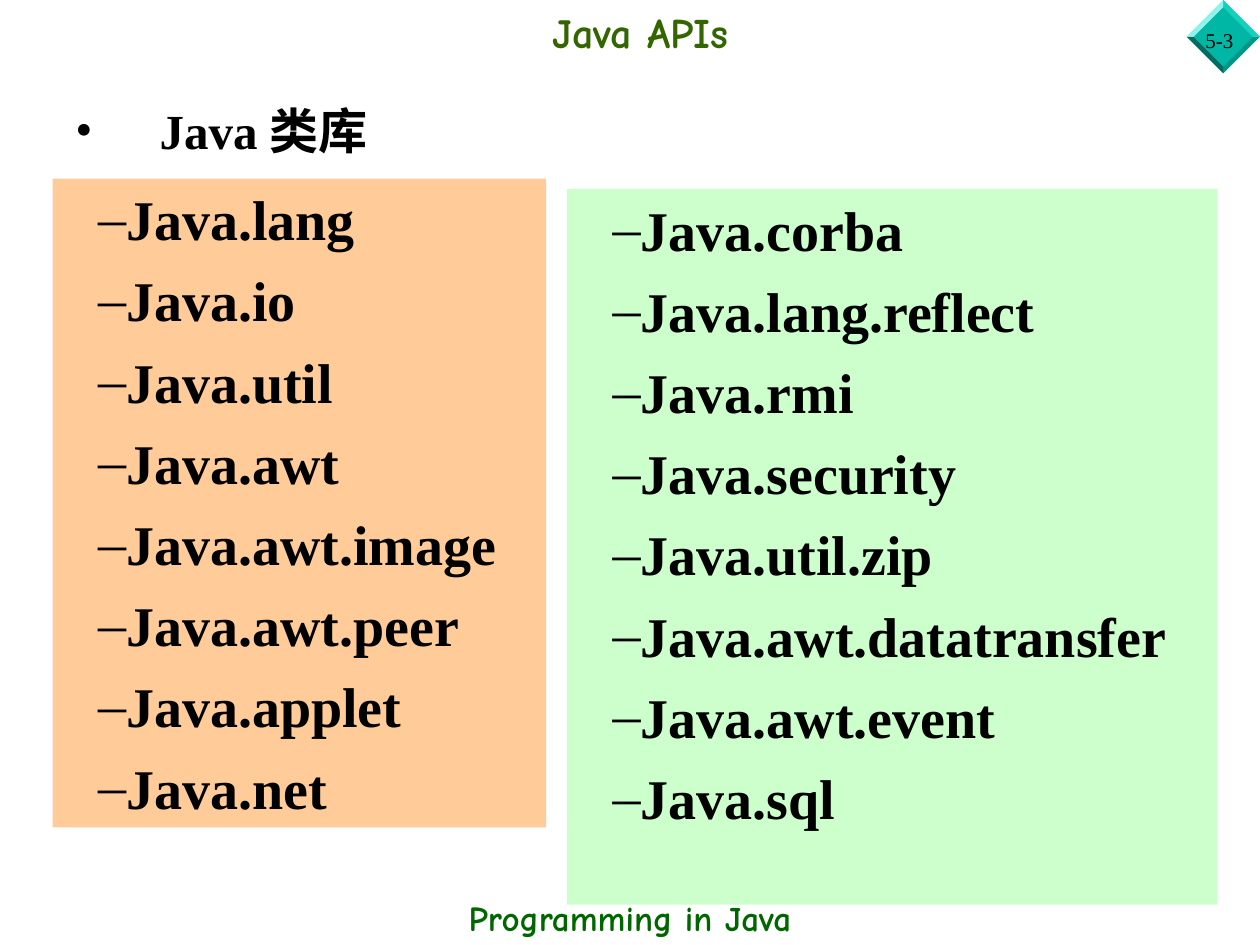
from dataclasses import dataclass

from lxml import etree
from pptx import Presentation
from pptx.dml.color import RGBColor
from pptx.enum import shapes, text
from pptx.oxml import ns
from pptx.util import Cm, Pt


@dataclass(frozen=True)
class Theme:
    serif: str = "Times New Roman"
    hand: str = "Comic Neue"
    black: str = "000000"
    title: str = "336600"
    footer: str = "006600"
    orange: str = "FFCC99"
    green: str = "CCFFCC"
    badge_face: str = "00B7A5"
    badge_edges: tuple = ("14D1BE", "009688", "006B61", "8CF4EA")
    number_size: int = 12
    footer_size: int = 20
    title_size: int = 24
    heading_size: int = 28
    list_size: int = 32


THEME = Theme()
LEFT_PACKAGES = ("Java.lang", "Java.io", "Java.util", "Java.awt",
                 "Java.awt.image", "Java.awt.peer", "Java.applet", "Java.net")
RIGHT_PACKAGES = ("Java.corba", "Java.lang.reflect", "Java.rmi", "Java.security",
                  "Java.util.zip", "Java.awt.datatransfer", "Java.awt.event", "Java.sql")


def fill_shape(shape, color):
    shape.shadow.inherit = False
    shape.fill.solid()
    shape.fill.fore_color.rgb = RGBColor.from_string(color)
    shape.line.fill.background()


def style_paragraph(paragraph, size, color, name, bold=True):
    font = paragraph.font
    font.size, font.bold, font.name = Pt(size), bold, name
    font.color.rgb = RGBColor.from_string(color)


def add_bullet(paragraph, character, margin, indent):
    properties = paragraph._p.get_or_add_pPr()
    properties.set("marL", str(Cm(margin)))
    properties.set("indent", str(Cm(indent)))
    bullet_color = etree.SubElement(properties, ns.qn("a:buClr"))
    etree.SubElement(bullet_color, ns.qn("a:srgbClr"), val=THEME.black)
    etree.SubElement(properties, ns.qn("a:buFont"), typeface=THEME.serif)
    etree.SubElement(properties, ns.qn("a:buChar"), char=character)


def add_line(slide, box, words, centered=True):
    """Place one line of text in a box and return its paragraph."""
    frame = slide.shapes.add_textbox(*map(Cm, box)).text_frame
    frame.word_wrap = True
    frame.vertical_anchor = text.MSO_ANCHOR.TOP
    paragraph = frame.paragraphs[0]
    paragraph.text = words
    paragraph.alignment = text.PP_ALIGN.CENTER if centered else text.PP_ALIGN.LEFT
    return paragraph


def add_title(slide, box):
    paragraph = add_line(slide, box, "Java APIs")
    style_paragraph(paragraph, THEME.title_size, THEME.title, THEME.hand)


def add_footer(slide, box):
    paragraph = add_line(slide, box, "Programming in Java")
    style_paragraph(paragraph, THEME.footer_size, THEME.footer, THEME.hand)


def add_heading(slide, box):
    paragraph = add_line(slide, box, "Java 类库", centered=False)
    add_bullet(paragraph, "•", 1.7, -1.7)
    style_paragraph(paragraph, THEME.heading_size, THEME.black, THEME.serif)


def add_polygon(slide, points, color):
    start, *rest = [(Cm(x), Cm(y)) for x, y in points]
    builder = slide.shapes.build_freeform(*start)
    builder.add_line_segments(rest, close=True)
    fill_shape(builder.convert_to_shape(), color)


def add_badge(slide, box):
    """Bevelled diamond with the slide number."""
    left, top, width, height = box
    center_x, center_y = left + width / 2, top + height / 2

    def diamond(half):
        return [(center_x, center_y - half), (center_x + half, center_y),
                (center_x, center_y + half), (center_x - half, center_y)]

    outer, inner = diamond(width / 2), diamond(0.6)
    add_polygon(slide, inner, THEME.badge_face)
    for side, color in enumerate(THEME.badge_edges):
        following = (side + 1) % 4
        add_polygon(slide, [inner[side], outer[side], outer[following], inner[following]],
                    color)
    number_box = (left + 0.13, top + 0.43, 1.35, 0.76)
    paragraph = add_line(slide, number_box, "5-3", centered=False)
    style_paragraph(paragraph, THEME.number_size, THEME.black, THEME.serif, bold=False)


def add_package_panel(slide, box, packages, color):
    """Coloured panel listing one package per line."""
    panel = slide.shapes.add_shape(shapes.MSO_SHAPE.RECTANGLE, *map(Cm, box))
    fill_shape(panel, color)
    frame = panel.text_frame
    frame.word_wrap = True
    frame.vertical_anchor = text.MSO_ANCHOR.TOP
    for index, package_name in enumerate(packages):
        paragraph = frame.add_paragraph() if index else frame.paragraphs[0]
        paragraph.text = package_name
        paragraph.level = 1
        paragraph.alignment = text.PP_ALIGN.JUSTIFY
        if index:
            paragraph.space_before = Pt(8)
        add_bullet(paragraph, "–", 0.67, 0)
        style_paragraph(paragraph, THEME.list_size, THEME.black, THEME.serif)


def main():
    presentation = Presentation()
    presentation.slide_width, presentation.slide_height = Cm(25.4), Cm(19.05)
    slide = presentation.slides.add_slide(presentation.slide_layouts[6])

    # Frame of the page
    add_badge(slide, (23.92, 0, 1.48, 1.48))
    add_footer(slide, (0, 17.95, 25.4, 1.11))

    # Title and heading
    add_heading(slide, (1.27, 1.9, 23.07, 1.48))
    add_title(slide, (2.12, 0, 21.59, 1.27))

    # Package lists
    add_package_panel(slide, (1.06, 3.6, 9.95, 13.08), LEFT_PACKAGES, THEME.orange)
    add_package_panel(slide, (11.43, 3.81, 13.12, 14.43), RIGHT_PACKAGES, THEME.green)

    presentation.save("out.pptx")


if __name__ == "__main__":
    main()
